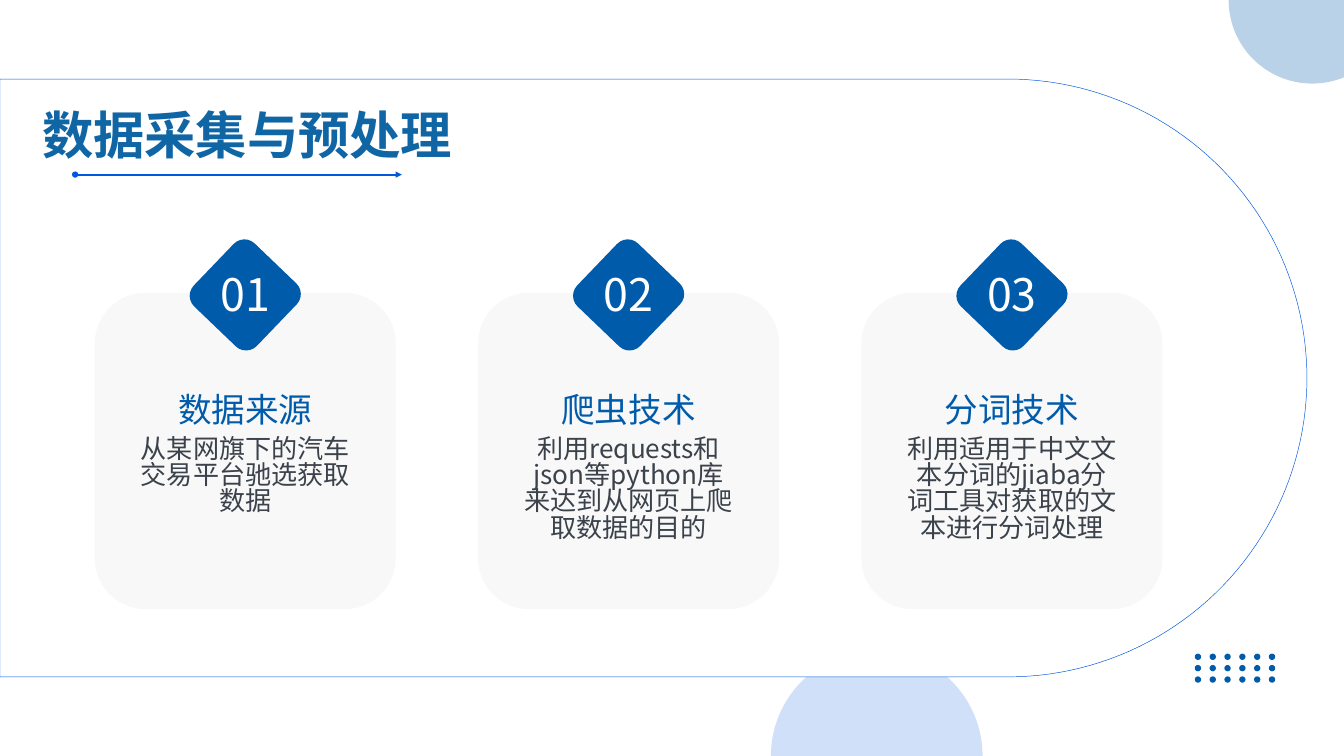
import math

from lxml import etree
from pptx import Presentation
from pptx.dml.color import RGBColor
from pptx.enum.shapes import MSO_CONNECTOR, MSO_SHAPE
from pptx.enum.text import MSO_ANCHOR, MSO_AUTO_SIZE, PP_ALIGN
from pptx.oxml.ns import qn
from pptx.util import Cm, Pt

OVAL = MSO_SHAPE.OVAL
ROUNDED = MSO_SHAPE.ROUNDED_RECTANGLE
STRAIGHT = MSO_CONNECTOR.STRAIGHT
CENTER = PP_ALIGN.CENTER
TOP = MSO_ANCHOR.TOP
NO_AUTOFIT = MSO_AUTO_SIZE.NONE

FONT = "Noto Sans CJK SC"
COLORS = {
    "navy": "005BAB",
    "bright": "0058E0",
    "title": "1066A5",
    "card": "F8F8F8",
    "body": "3B424B",
    "white": "FFFFFF",
}
SLIDE_W, SLIDE_H = 50.8, 28.58
STEPS = [
    ("01", "数据来源", "从某网旗下的汽车交易平台驰选获取数据"),
    ("02", "爬虫技术", "利用requests和json等python库来达到从网页上爬取数据的目的"),
    ("03", "分词技术", "利用适用于中文文本分词的jiaba分词工具对获取的文本进行分词处理"),
]


def arc(cx, cy, radius, start, end, segments=90):
    """Return points along a circular arc, angles in degrees running clockwise."""
    angles = [math.radians(start + (end - start) * i / segments) for i in range(segments + 1)]
    return [(cx + radius * math.cos(a), cy + radius * math.sin(a)) for a in angles]


class SlideKit:
    """Hold the style and the current slide, and draw elements in centimetres."""

    def __init__(self, slide):
        self.shapes = slide.shapes

    def color(self, name):
        return RGBColor.from_string(COLORS[name])

    def paint(self, shape, fill, line=None, alpha=None):
        shape.shadow.inherit = False
        shape.fill.solid()
        shape.fill.fore_color.rgb = self.color(fill)
        if alpha:
            tint = shape.element.spPr.find(qn("a:solidFill")).find(qn("a:srgbClr"))
            etree.SubElement(tint, qn("a:alpha"), val=str(alpha * 1000))
        if line:
            shape.line.color.rgb = self.color(line)
            shape.line.width = Pt(0.5)
        else:
            shape.line.fill.background()

    def preset(self, kind, x, y, w, h, fill, corner=None, rotation=0):
        shape = self.shapes.add_shape(kind, Cm(x), Cm(y), Cm(w), Cm(h))
        if corner is not None:
            shape.adjustments[0] = corner
        shape.rotation = rotation
        self.paint(shape, fill)

    def outline(self, points, fill, line=None, alpha=None):
        corners = [(Cm(x), Cm(y)) for x, y in points]
        builder = self.shapes.build_freeform(*corners[0])
        builder.add_line_segments(corners[1:], close=True)
        self.paint(builder.convert_to_shape(), fill, line, alpha)

    def arrow(self, x1, x2, y, color):
        connector = self.shapes.add_connector(STRAIGHT, Cm(x1), Cm(y), Cm(x2), Cm(y))
        connector.line.color.rgb = self.color(color)
        connector.line.width = Pt(2.25)
        properties = connector.element.spPr
        line = properties.find(qn("a:ln"))
        etree.SubElement(line, qn("a:headEnd"), type="oval")
        etree.SubElement(line, qn("a:tailEnd"), type="triangle")
        etree.SubElement(properties, qn("a:effectLst"))

    def fill_text(self, frame, text, size, spacing, color, bold=False):
        frame.word_wrap = True
        frame.auto_size = NO_AUTOFIT
        frame.vertical_anchor = TOP
        frame.margin_left = frame.margin_right = frame.margin_top = frame.margin_bottom = 0
        paragraph = frame.paragraphs[0]
        paragraph.alignment = CENTER
        paragraph.line_spacing = Pt(spacing)
        run = paragraph.add_run()
        run.text = text
        run.font.size = Pt(size)
        run.font.bold = bold
        run.font.color.rgb = self.color(color)
        run.font.name = FONT
        for latin in frame._txBody.iter(qn("a:latin")):
            latin.addnext(etree.Element(qn("a:ea"), typeface=FONT))

    def text(self, cx, y, w, h, text, size, spacing, color):
        box = self.shapes.add_textbox(Cm(cx - w / 2), Cm(y), Cm(w), Cm(h))
        self.fill_text(box.text_frame, text, size, spacing, color)

    def title(self, x, y, w, h, text):
        title = self.shapes.title
        title.left, title.top, title.width, title.height = Cm(x), Cm(y), Cm(w), Cm(h)
        title.element.getparent().append(title.element)
        self.fill_text(title.text_frame, text, 55, 66, "title", bold=True)

    def step_card(self, cx, number, heading, body):
        self.preset(ROUNDED, cx - 5.69, 11.07, 11.38, 11.96, "card", corner=0.17)
        self.preset(ROUNDED, cx - 1.65, 9.5, 3.3, 3.3, "navy", corner=0.17, rotation=43.8)
        self.text(cx, 10.08, 4.19, 1.98, number, 48, 57.6, "white")
        self.text(cx, 14.71, 7.7, 1.55, heading, 36, 43.2, "navy")
        self.text(cx, 16.54, 7.95, 4.01, body, 28, 28.1, "body")


def main():
    deck = Presentation()
    deck.slide_width, deck.slide_height = Cm(SLIDE_W), Cm(SLIDE_H)
    kit = SlideKit(deck.slides.add_slide(deck.slide_layouts[5]))

    kit.outline(arc(33.14, SLIDE_H, 4, 180, 360), "bright", alpha=18)
    for row in range(3):
        for column in range(6):
            kit.preset(OVAL, 45.16 + column * 0.56, 24.71 + row * 0.43, 0.24, 0.24, "navy")

    panel = [(0, 2.99), *arc(38.1, 14.29, 11.3, -90, 90), (0, 25.59)]
    kit.outline(panel, "white", line="bright")
    kit.arrow(2.84, 15.19, 6.6, "bright")
    kit.title(1.47, 3.91, 15.75, 2.36, "数据采集与预处理")

    for index, step in enumerate(STEPS):
        kit.step_card(9.27 + index * 14.49, *step)

    corner_x, corner_radius = 49.6, 3.16
    edge_angle = math.degrees(math.acos((SLIDE_W - corner_x) / corner_radius))
    corner = [*arc(corner_x, 0, corner_radius, 180, edge_angle), (SLIDE_W, 0)]
    kit.outline(corner, "navy", alpha=27)
    deck.save("out.pptx")


if __name__ == "__main__":
    main()
